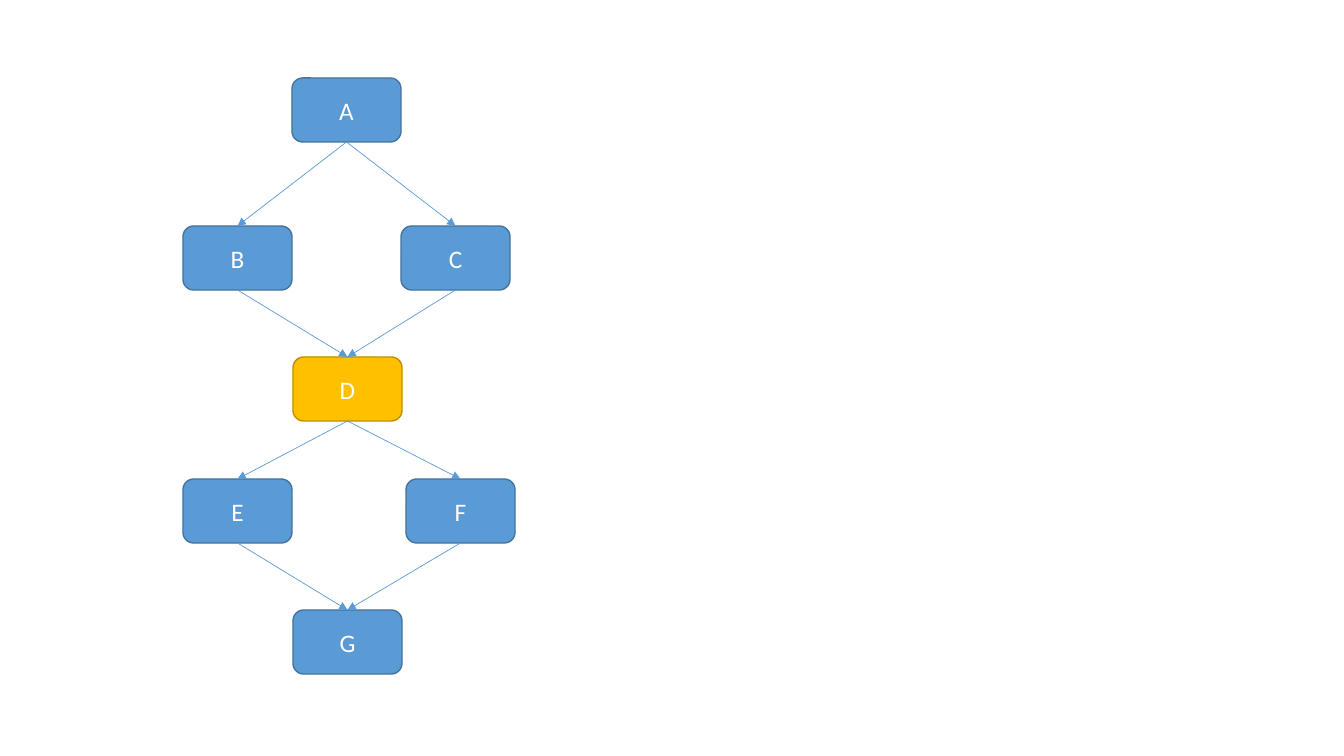
from lxml.etree import SubElement
from pptx import Presentation
from pptx.dml.color import RGBColor
from pptx.enum.shapes import MSO_CONNECTOR as Connector, MSO_SHAPE as Shape
from pptx.enum.text import MSO_ANCHOR as Anchor, PP_ALIGN as Align
from pptx.oxml.ns import qn
from pptx.util import Pt

EMU_PER_PIXEL = 914400 / 100.8
NODE_WIDTH, NODE_HEIGHT = 109, 64
TOP_SITE, BOTTOM_SITE = 0, 2

COLORS = {
    "blue": "5B9BD5",
    "blue_border": "43739E",
    "gold": "FFC000",
    "gold_border": "BD8E00",
    "text": "FFFFFF",
}

NODES = {
    "A": (292, 78, "blue"),
    "B": (183, 226, "blue"),
    "C": (401, 226, "blue"),
    "D": (293, 357, "gold"),
    "E": (183, 479, "blue"),
    "F": (406, 479, "blue"),
    "G": (293, 610, "blue"),
}
EDGES = ["AB", "AC", "BD", "CD", "DE", "DF", "EG", "FG"]


def px(pixels):
    return round(pixels * EMU_PER_PIXEL)


def color(name):
    return RGBColor.from_string(COLORS[name])


def add_node(slide, label, left, top, fill):
    shape = slide.shapes.add_shape(
        Shape.ROUNDED_RECTANGLE, px(left), px(top), px(NODE_WIDTH), px(NODE_HEIGHT)
    )
    shape.shadow.inherit = False
    shape.fill.solid()
    shape.fill.fore_color.rgb = color(fill)
    shape.line.color.rgb = color(f"{fill}_border")
    shape.line.width = Pt(1)
    shape.text_frame.vertical_anchor = Anchor.MIDDLE
    paragraph = shape.text_frame.paragraphs[0]
    paragraph.text = label
    paragraph.alignment = Align.CENTER
    paragraph.font.name = "Calibri"
    paragraph.font.size = Pt(18)
    paragraph.font.color.rgb = color("text")
    return shape


def add_arrow(slide, source, target):
    connector = slide.shapes.add_connector(Connector.STRAIGHT, 0, 0, 0, 0)
    connector.begin_connect(source, BOTTOM_SITE)
    connector.end_connect(target, TOP_SITE)
    connector.line.color.rgb = color("blue")
    connector.line.width = Pt(0.5)
    properties = connector.element.spPr
    SubElement(properties.find(qn("a:ln")), qn("a:tailEnd"), type="triangle")
    SubElement(properties, qn("a:effectLst"))


def main():
    presentation = Presentation()
    presentation.slide_width = px(1344)
    presentation.slide_height = px(756)
    slide = presentation.slides.add_slide(presentation.slide_layouts[6])
    nodes = {label: add_node(slide, label, *place) for label, place in NODES.items()}
    for source, target in EDGES:
        add_arrow(slide, nodes[source], nodes[target])
    presentation.save("out.pptx")


main()
